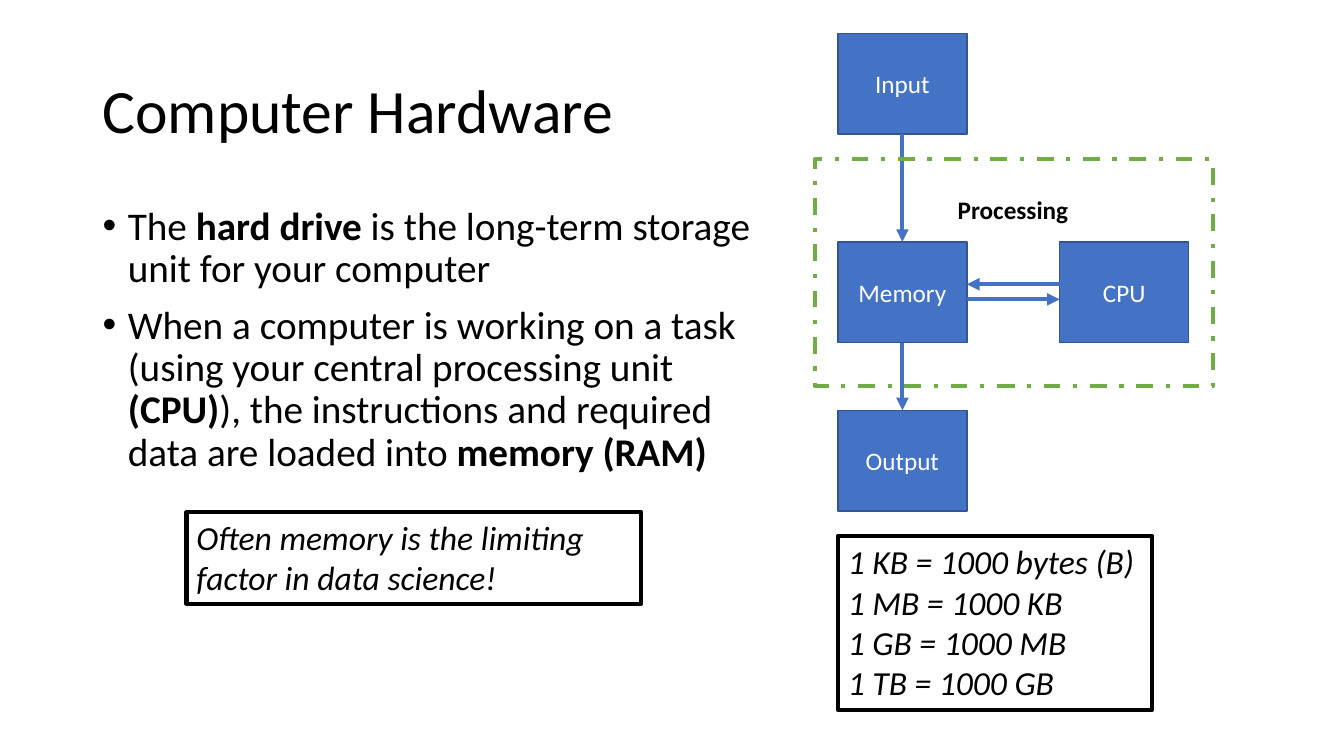
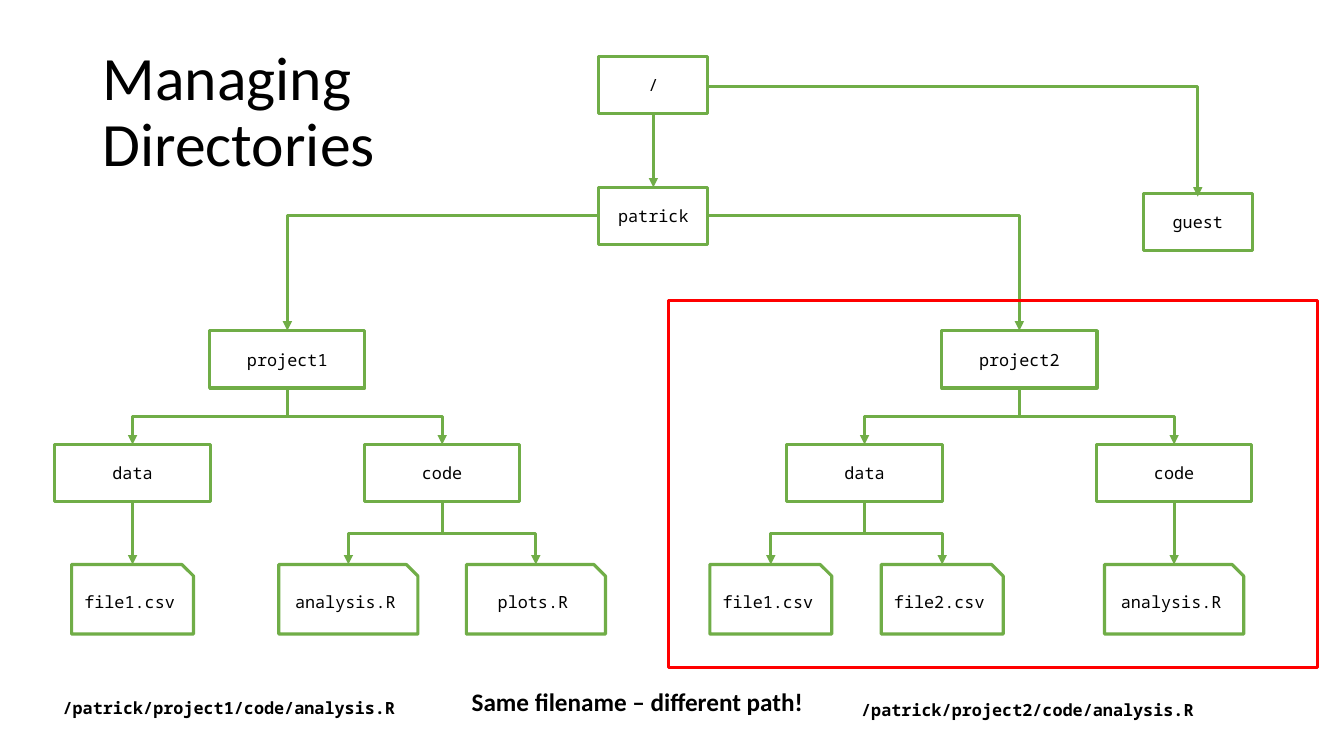
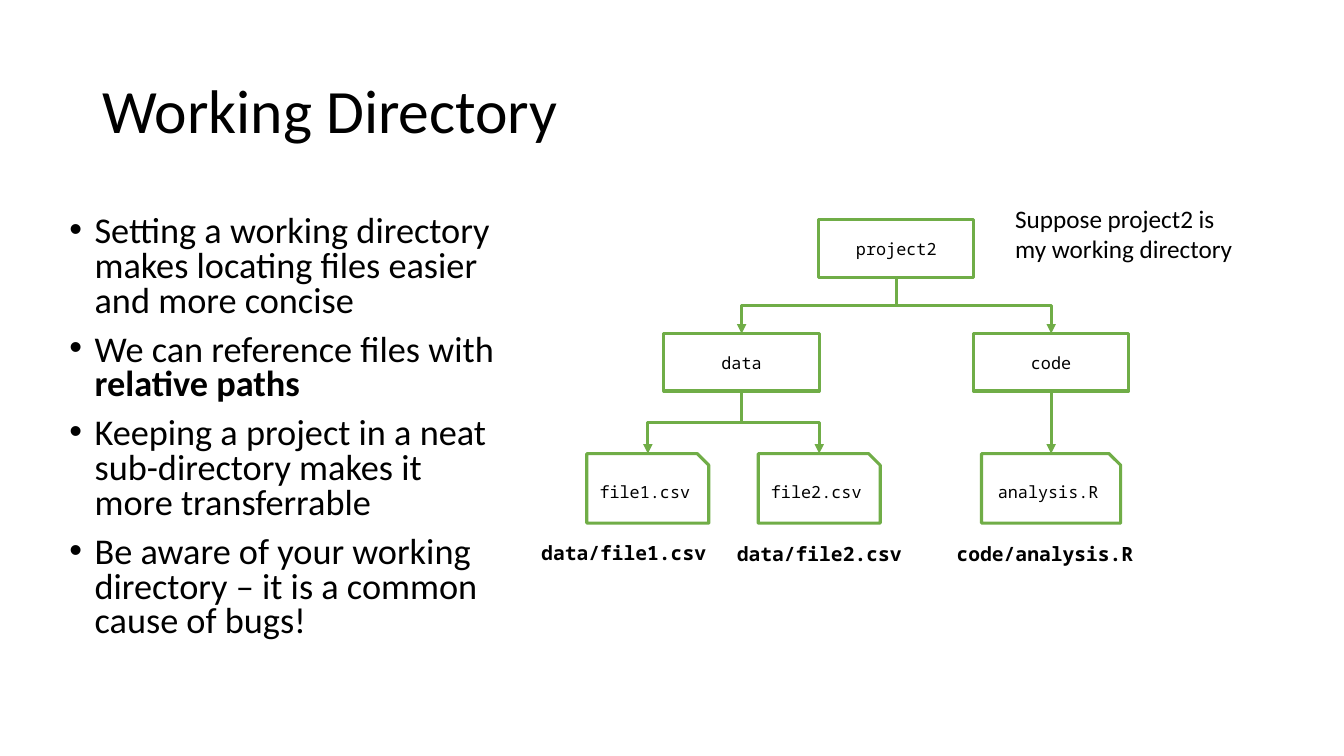
import lxml.etree
import pptx
import pptx.dml.color
import pptx.enum.dml
import pptx.enum.shapes
import pptx.enum.text
import pptx.oxml.ns
import pptx.util

BLACK, WHITE, RED = "000000", "FFFFFF", "FF0000"
BLUE, DARK_BLUE, GREEN = "4472C4", "325491", "70AD47"
SANS, MONO = "Calibri", "Noto Sans Mono"
RECT = pptx.enum.shapes.MSO_SHAPE.RECTANGLE
SNIP = pptx.enum.shapes.MSO_SHAPE.SNIP_1_RECTANGLE
colour = pptx.dml.color.RGBColor.from_string
qn = pptx.oxml.ns.qn

deck = pptx.Presentation()
deck.slide_width = pptx.util.Inches(13.33)
deck.slide_height = pptx.util.Inches(7.5)
cell = deck.slide_height / 75


def box(slide, kind, col, row, cols, rows, text="", size=18, font=SANS, ink=BLACK,
        fill=None, line=None, weight=2.25, centred=False, italic=None):
    place = [round(n * cell) for n in (col, row, cols, rows)]
    if kind is None:
        shape = slide.shapes.add_textbox(*place)
    else:
        shape = slide.shapes.add_shape(kind, *place)
        shape.shadow.inherit = False
    if fill:
        shape.fill.solid()
        shape.fill.fore_color.rgb = colour(fill)
    else:
        shape.fill.background()
    if line:
        shape.line.color.rgb = colour(line)
        shape.line.width = pptx.util.Pt(weight)
    else:
        shape.line.fill.background()
    frame = shape.text_frame
    frame.word_wrap = True
    anchors, aligns = pptx.enum.text.MSO_ANCHOR, pptx.enum.text.PP_ALIGN
    frame.vertical_anchor = anchors.MIDDLE if centred else anchors.TOP
    frame.text = text.replace("*", "")
    for paragraph, marked in zip(frame.paragraphs, text.split("\n")):
        paragraph.alignment = aligns.CENTER if centred else aligns.LEFT
        paragraph.text = ""
        for index, part in enumerate(marked.split("*")):
            if part:
                run = paragraph.add_run()
                run.text = part
                run.font.name = font
                run.font.size = pptx.util.Pt(size)
                run.font.bold = index % 2 == 1
                run.font.italic = italic
                run.font.color.rgb = colour(ink)
    return shape


def arrow(slide, route, x1, y1, x2, y2, line=GREEN, weight=2.25):
    kinds = pptx.enum.shapes.MSO_CONNECTOR
    ends = x1, y1, x2, y2
    if route == "down":
        x, y = (x1 + x2) / 2, (y1 + y2) / 2
        half_drop, half_span = (y2 - y1) / 2, abs(x2 - x1) / 2
        ends = x - half_drop, y - half_span, x + half_drop, y + half_span
    connector = slide.shapes.add_connector(
        kinds.STRAIGHT if route == "straight" else kinds.ELBOW,
        *[round(n * cell) for n in ends])
    connector.line.color.rgb = colour(line)
    connector.line.width = pptx.util.Pt(weight)
    properties = connector._element.spPr
    if route == "down":
        turn = properties.find(qn("a:xfrm"))
        turn.set("rot", "16200000" if x2 > x1 else "5400000")
        if x2 > x1:
            turn.set("flipH", "1")
    if route == "across":
        properties.find(qn("a:prstGeom")).set("prst", "bentConnector2")
    head = lxml.etree.SubElement(properties.find(qn("a:ln")), qn("a:tailEnd"))
    head.set("type", "triangle")
    lxml.etree.SubElement(properties, qn("a:effectLst"))


slides = []
for heading, cols in [("Computer Hardware", 115), ("Managing Directories", 45.7),
                      ("Working Directory", 115)]:
    slide = deck.slides.add_slide(deck.slide_layouts[6])
    title = box(slide, None, 9.2, 4, cols, 14.5, heading, 44)
    title.text_frame.vertical_anchor = pptx.enum.text.MSO_ANCHOR.MIDDLE
    title.text_frame.paragraphs[0].line_spacing = 0.9
    slides.append(slide)
hardware, directories, working = slides

hardware_points = (
    "The *hard drive* is the long-term storage unit for your computer\n"
    "When a computer is working on a task (using your central processing unit *(CPU)*), "
    "the instructions and required data are loaded into *memory (RAM)*")
working_points = (
    "Setting a working directory makes locating files easier and more concise\n"
    "We can reference files with *relative paths*\n"
    "Keeping a project in a neat sub-directory makes it more transferrable\n"
    "Be aware of your working directory – it is a common cause of bugs!")
for slide, place, points, size, spacing in [
        (hardware, (9.2, 20, 68.4, 47.6), hardware_points, 28, 0.9),
        (working, (5.9, 20.9, 45, 48), working_points, 25.9, 0.8)]:
    body = box(slide, None, *place, points, size)
    for paragraph in body.text_frame.paragraphs:
        paragraph.line_spacing = spacing
        paragraph.space_before = pptx.util.Pt(10)
        layout = paragraph._p.get_or_add_pPr()
        layout.set("marL", str(pptx.util.Inches(0.25)))
        layout.set("indent", str(-pptx.util.Inches(0.25)))
        lxml.etree.SubElement(layout, qn("a:buFont")).set("typeface", "Arial")
        lxml.etree.SubElement(layout, qn("a:buChar")).set("char", "•")

for part, col, row in [("Input", 83.1, 3.3), ("Memory", 83.1, 24),
                       ("Output", 83.1, 40.7), ("CPU", 105.1, 24)]:
    box(hardware, RECT, col, row, 12.8, 10, part, ink=WHITE, fill=BLUE,
        line=DARK_BLUE, weight=1, centred=True)
for flow in [(89.5, 13.3, 89.5, 24), (89.5, 34, 89.5, 40.7),
             (95.9, 29.7, 105.1, 29.7), (105.1, 28.2, 95.9, 28.2)]:
    arrow(hardware, "straight", *flow, line=BLUE, weight=3)
units = "1 KB = 1000 bytes (B)\n1 MB = 1000 KB\n1 GB = 1000 MB\n1 TB = 1000 GB"
for place, note in [
        ((18.5, 50.8, 45.1, 9.1), "Often memory is the limiting factor in data science!"),
        ((83.1, 53.2, 31.2, 17.2), units)]:
    box(hardware, RECT, *place, note, 24, fill=WHITE, line=BLACK, weight=3, italic=True)
processing = box(hardware, RECT, 80.8, 15.8, 39.5, 22.5, line=GREEN, weight=3)
processing.line.dash_style = pptx.enum.dml.MSO_LINE.DASH_DOT
box(hardware, None, 94, 18.8, 15, 4, "*Processing*")

node = dict(size=12, font=MONO, fill=WHITE, line=GREEN, centred=True)
for name, middle, row in [("/", 64.8, 5.6), ("patrick", 64.8, 18.6), ("guest", 118.8, 19.2)]:
    box(directories, RECT, middle - 5.4, row, 10.8, 5.7, name, **node)
arrow(directories, "down", 64.8, 11.3, 64.8, 18.6)
arrow(directories, "across", 70.2, 8.6, 118.8, 19.5)
arrow(directories, "across", 59.4, 21.4, 28.5, 32.8)
arrow(directories, "across", 70.2, 21.4, 101.1, 32.8)

first_files = {"data": [("file1.csv", 0)], "code": [("analysis.R", -9.3), ("plots.R", 9.3)]}
second_files = {"data": [("file1.csv", -9.3), ("file2.csv", 7.7)], "code": [("analysis.R", 0)]}
for slide, project, middle, row, folders in [
        (directories, "project1", 28.5, 32.8, first_files),
        (directories, "project2", 101.1, 32.8, second_files),
        (working, "project2", 88.9, 21.8, second_files)]:
    folder_row, file_row = row + 11.3, row + 23.2
    box(slide, RECT, middle - 7.7, row, 15.4, 5.7, project, **node)
    for (folder, files), shift in zip(folders.items(), (-15.35, 15.35)):
        folder_middle = middle + shift
        box(slide, RECT, folder_middle - 7.7, folder_row, 15.4, 5.7, folder, **node)
        arrow(slide, "down", middle, row + 5.7, folder_middle, folder_row)
        for name, offset in files:
            file_middle = folder_middle + offset
            cols = 12.1 if name.endswith(".csv") else 13.8
            box(slide, SNIP, file_middle - cols / 2, file_row, cols, 6.9, name, **node)
            arrow(slide, "down", folder_middle, folder_row + 5.7, file_middle, file_row)

box(directories, RECT, 66.3, 29.8, 64.4, 36.4, line=RED)
for col, row, project in [(4.6, 66.5, "project1"), (83.8, 66.7, "project2")]:
    box(directories, SNIP, col, row, 36.8, 6.9, f"*/patrick/{project}/code/analysis.R*",
        12, MONO, fill=WHITE, centred=True)
box(directories, None, 45.8, 67.6, 38, 4, "*Same filename – different path!*")

box(working, None, 99.7, 19.7, 24.5, 7.1, "Suppose project2 is my working directory")
for col, row, relative in [(52.7, 53.2, "data/file1.csv"), (72.1, 53.3, "data/file2.csv"),
                           (93.9, 53.3, "code/analysis.R")]:
    box(working, None, col, row, 20.7, 3.4, f"*{relative}*", 14, MONO)

deck.save("out.pptx")
